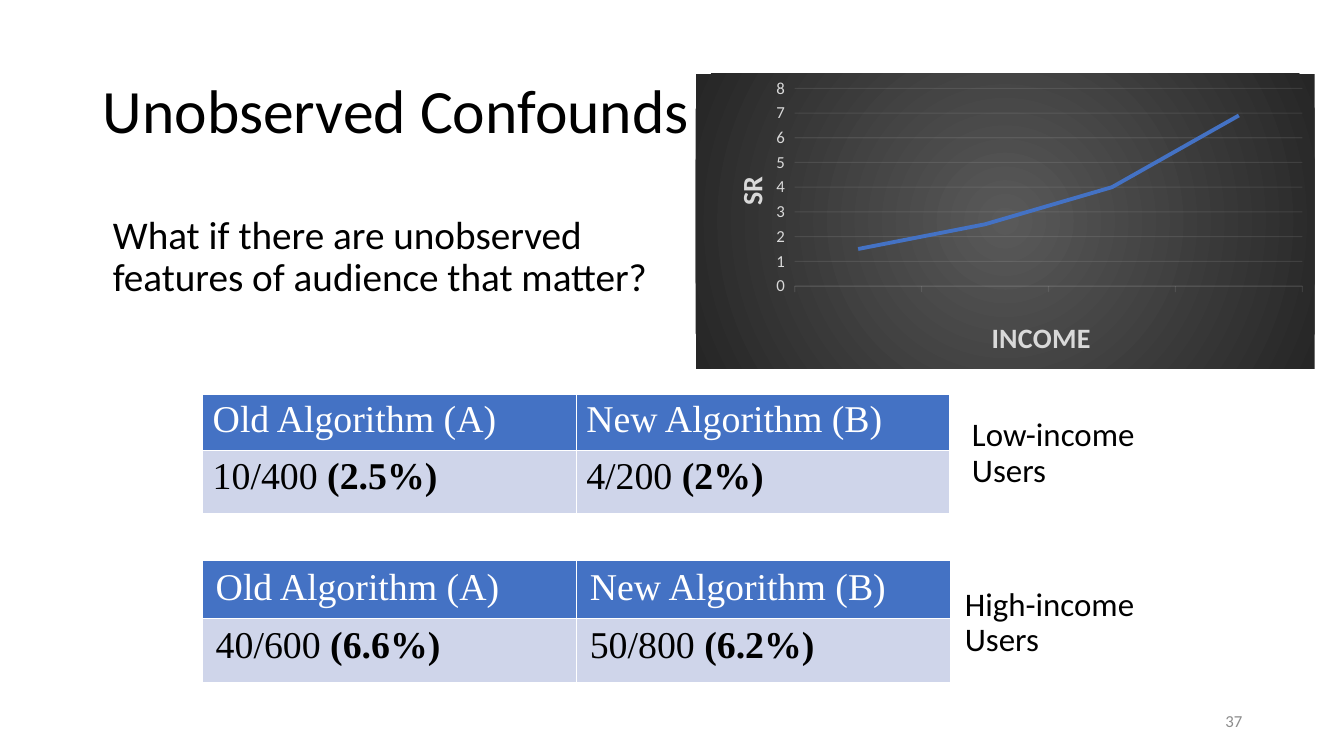
from pptx import Presentation
from pptx.chart.data import CategoryChartData
from pptx.dml.color import RGBColor
from pptx.enum.chart import XL_CHART_TYPE, XL_TICK_LABEL_POSITION, XL_TICK_MARK
from pptx.enum.text import MSO_ANCHOR, PP_ALIGN
from pptx.oxml import parse_xml
from pptx.oxml.ns import nsdecls, qn
from pptx.util import Inches, Pt

BLACK = RGBColor(0x00, 0x00, 0x00)
WHITE = RGBColor(0xFF, 0xFF, 0xFF)
GRAY = RGBColor(0x8C, 0x8C, 0x8C)
BLUE = RGBColor(0x44, 0x72, 0xC4)
PALE_BLUE = RGBColor(0xCF, 0xD5, 0xEA)
AXIS_TEXT = RGBColor(0xD9, 0xD9, 0xD9)
AXIS_LINE = RGBColor(0xF2, 0xF2, 0xF2)
CHART_CENTER = RGBColor(0x59, 0x59, 0x59)
CHART_EDGE = RGBColor(0x26, 0x26, 0x26)
LEFT, RIGHT = PP_ALIGN.LEFT, PP_ALIGN.RIGHT
TOP, MIDDLE = MSO_ANCHOR.TOP, MSO_ANCHOR.MIDDLE
LINE = XL_CHART_TYPE.LINE
NO_LABELS = XL_TICK_LABEL_POSITION.NONE
OUTSIDE = XL_TICK_MARK.OUTSIDE
SANS, SERIF = "Calibri", "Times New Roman"


def set_font(font, size, color, name=SANS, bold=False):
    font.name = name
    font.size = Pt(size)
    font.color.rgb = color
    font.bold = bold


def place(shape, box):
    shape.left, shape.top, shape.width, shape.height = map(Inches, box)


def write_text(shape, text, size, color=BLACK, align=LEFT, anchor=TOP, spacing=0.9):
    frame = shape.text_frame
    frame.word_wrap = True
    frame.vertical_anchor = anchor
    paragraph = frame.paragraphs[0]
    paragraph.alignment = align
    paragraph.line_spacing = spacing
    paragraph.space_before = Pt(0)
    run = paragraph.add_run()
    run.text = text
    set_font(run.font, size, color)
    return paragraph


def add_heading(slide, box):
    place(slide.shapes.title, box)
    write_text(slide.shapes.title, "Unobserved Confounds", 44, anchor=MIDDLE)


def add_question(slide, box):
    body = slide.placeholders[1]
    place(body, box)
    paragraph = write_text(
        body, "What if there are unobserved features of audience that matter?", 28
    )
    properties = paragraph._p.get_or_add_pPr()
    properties.set("marL", "0")
    properties.set("indent", "0")
    properties.append(parse_xml(f"<a:buNone {nsdecls('a')}/>"))


def add_page_number(slide, box):
    shape = slide.shapes.add_textbox(*map(Inches, box))
    write_text(shape, "37", 12, GRAY, RIGHT, MIDDLE, 1.0)


def add_group_label(slide, box, text):
    shape = slide.shapes.add_textbox(*map(Inches, box))
    frame = shape.text_frame
    frame.margin_left = frame.margin_right = Inches(0.15)
    frame.margin_top = frame.margin_bottom = Inches(0.12)
    write_text(shape, text, 23.5)


def add_cell_borders(cell):
    properties = cell._tc.get_or_add_tcPr()
    for index, side in enumerate(("lnL", "lnR", "lnT", "lnB")):
        border = parse_xml(
            f'<a:{side} {nsdecls("a")} w="{Pt(1)}"><a:solidFill>'
            f'<a:srgbClr val="{WHITE}"/></a:solidFill></a:{side}>'
        )
        properties.insert(index, border)


def add_rate_table(slide, box, header_height, margins, results):
    frame = slide.shapes.add_table(2, 2, *map(Inches, box))
    table = frame.table
    table.rows[0].height = Inches(header_height)
    table.rows[1].height = Inches(box[3] - header_height)
    headers = [("Old Algorithm (A)", ""), ("New Algorithm (B)", "")]
    rows = [(headers, BLUE, WHITE), (results, PALE_BLUE, BLACK)]
    for row, (entries, fill, color) in enumerate(rows):
        for column, entry in enumerate(entries):
            cell = table.cell(row, column)
            cell.fill.solid()
            cell.fill.fore_color.rgb = fill
            add_cell_borders(cell)
            cell.margin_left = cell.margin_right = Inches(margins[0])
            cell.margin_top = cell.margin_bottom = Inches(margins[1])
            paragraph = cell.text_frame.paragraphs[0]
            for text, bold in zip(entry, (False, True)):
                if text:
                    run = paragraph.add_run()
                    run.text = text
                    set_font(run.font, 27, color, SERIF, bold)


def set_layout(element, index, **edges):
    for existing in element.findall(qn("c:layout")):
        element.remove(existing)
    target = '<c:layoutTarget val="inner"/>' if "w" in edges else ""
    modes = '<c:xMode val="edge"/><c:yMode val="edge"/>'
    values = "".join(f'<c:{key} val="{value}"/>' for key, value in edges.items())
    element.insert(index, parse_xml(
        f"<c:layout {nsdecls('c')}><c:manualLayout>{target}{modes}{values}"
        "</c:manualLayout></c:layout>"
    ))


def style_axis(axis, title, size, x, y):
    axis.major_tick_mark = OUTSIDE
    set_font(axis.tick_labels.font, size, AXIS_TEXT)
    frame = axis.axis_title.text_frame
    run = frame.paragraphs[0].add_run()
    run.text = title
    set_font(run.font, 20, AXIS_TEXT, bold=True)
    set_layout(axis.axis_title._element, 1, x=x, y=y)


def style_faint_line(line):
    line.width = Pt(0.75)
    line.color.rgb = AXIS_LINE


def add_income_chart(slide, box):
    data = CategoryChartData()
    data.categories = ["1", "2", "3", "4"]
    data.add_series("Series 1", [1.5, 2.5, 4, 6.9])
    chart = slide.shapes.add_chart(LINE, *map(Inches, box), data).chart
    chart.has_title = False
    chart.has_legend = False
    set_font(chart.font, 10, BLACK)

    plot = chart.plots[0]
    plot.vary_by_categories = False
    series = plot.series[0]
    series.smooth = False
    series.format.line.width = Pt(2.75)
    series.format.line.color.rgb = BLUE

    income, rate = chart.category_axis, chart.value_axis
    style_axis(income, "INCOME", 24, 0.47, 0.81)
    income.tick_label_position = NO_LABELS
    style_faint_line(income.format.line)
    style_axis(rate, "SR", 12, 0.05, 0.33)
    rate.axis_title.text_frame._txBody.bodyPr.set("rot", "-5400000")
    rate.axis_title.text_frame._txBody.bodyPr.set("vert", "horz")
    rate.minimum_scale, rate.maximum_scale, rate.major_unit = 0, 8, 1
    rate.format.line.fill.background()
    style_faint_line(rate.major_gridlines.format.line)
    for axis in (income, rate):
        for color in axis._element.xpath("./c:spPr//a:srgbClr | ./c:majorGridlines//a:srgbClr"):
            color.append(parse_xml(f'<a:alpha {nsdecls("a")} val="10000"/>'))

    chart_element = chart._chartSpace.find(qn("c:chart"))
    set_layout(chart_element.find(qn("c:plotArea")), 0, x=0.16, y=0.05, w=0.82, h=0.67)
    chart_element.addnext(parse_xml(
        f'<c:spPr {nsdecls("c", "a")}><a:gradFill><a:gsLst>'
        f'<a:gs pos="0"><a:srgbClr val="{CHART_CENTER}"/></a:gs>'
        f'<a:gs pos="100000"><a:srgbClr val="{CHART_EDGE}"/></a:gs></a:gsLst>'
        '<a:path path="circle"><a:fillToRect l="50000" t="50000" r="50000" b="50000"/>'
        '</a:path></a:gradFill><a:ln><a:noFill/></a:ln></c:spPr>'
    ))


def main():
    presentation = Presentation()
    presentation.slide_width = Inches(13.33)
    presentation.slide_height = Inches(7.5)
    slide = presentation.slides.add_slide(presentation.slide_layouts[1])
    add_question(slide, (1.02, 2.09, 5.64, 1.29))
    add_heading(slide, (0.92, 0.4, 11.5, 1.45))
    add_page_number(slide, (9.42, 6.95, 3, 0.4))
    add_rate_table(slide, (2.01, 3.91, 7.41, 1.19), 0.56, (0.1, 0.05),
                   [("10/400 ", "(2.5%)"), ("4/200 ", "(2%)")])
    add_rate_table(slide, (2.01, 5.56, 7.42, 1.21), 0.58, (0.13, 0.06),
                   [("40/600 ", "(6.6%)"), ("50/800 ", "(6.2%)")])
    add_group_label(slide, (9.49, 4.03, 2.14, 0.95), "Low-income Users")
    add_group_label(slide, (9.42, 5.71, 2.24, 0.95), "High-income Users")
    add_income_chart(slide, (6.9, 0.73, 6.14, 2.93))
    presentation.save("out.pptx")


if __name__ == "__main__":
    main()
